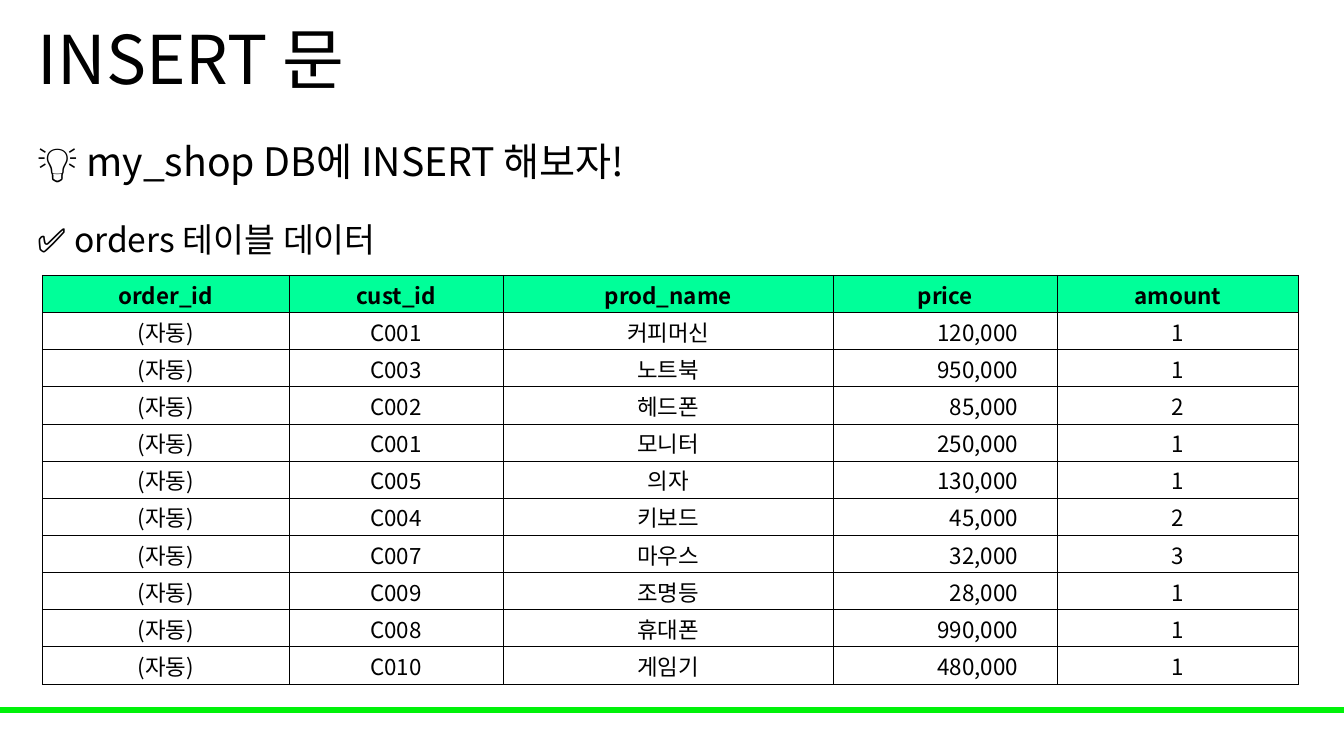
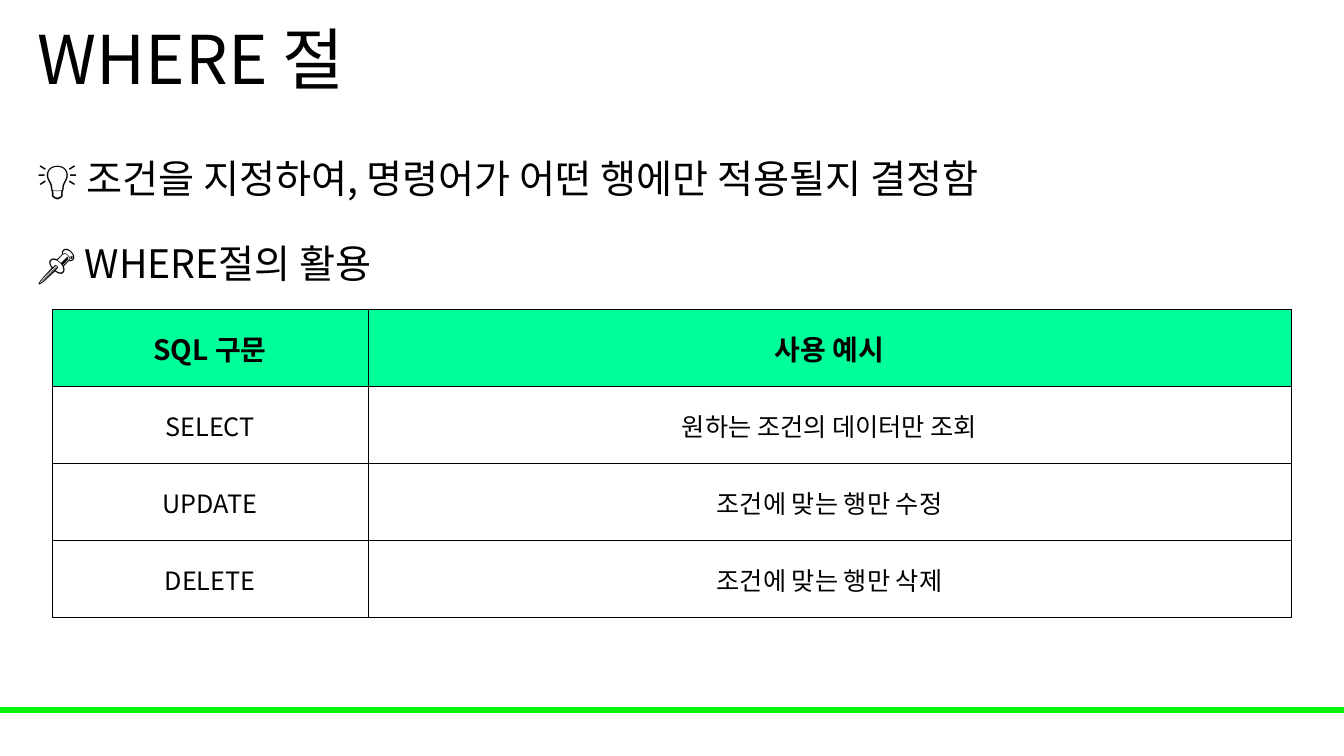
from lxml import etree
from pptx import Presentation
from pptx.dml.color import RGBColor
from pptx.enum.shapes import MSO_SHAPE
from pptx.enum.text import MSO_ANCHOR, PP_ALIGN
from pptx.oxml.ns import qn
from pptx.util import Pt

RECTANGLE = MSO_SHAPE.RECTANGLE
MIDDLE = MSO_ANCHOR.MIDDLE
CENTER, RIGHT = PP_ALIGN.CENTER, PP_ALIGN.RIGHT

BLACK = RGBColor(0x00, 0x00, 0x00)
BAND_GREEN = RGBColor(0x00, 0xF2, 0x09)
HEADER_GREEN = RGBColor(0x00, 0xFF, 0x99)

FONT = "Noto Sans CJK KR"
SLIDE_WIDTH, SLIDE_HEIGHT = 960, 540
BLANK_LAYOUT = 6
CELL_MARGIN = 0.75
PRICE_MARGIN = 28
PRICE_COLUMN = 3

ORDER_HEADER = ("order_id", "cust_id", "prod_name", "price", "amount")
ORDERS = (
    ("C001", "커피머신", 120000, 1),
    ("C003", "노트북", 950000, 1),
    ("C002", "헤드폰", 85000, 2),
    ("C001", "모니터", 250000, 1),
    ("C005", "의자", 130000, 1),
    ("C004", "키보드", 45000, 2),
    ("C007", "마우스", 32000, 3),
    ("C009", "조명등", 28000, 1),
    ("C008", "휴대폰", 990000, 1),
    ("C010", "게임기", 480000, 1),
)
WHERE_ROWS = (
    ("SQL 구문", "사용 예시"),
    ("SELECT", "원하는 조건의 데이터만 조회"),
    ("UPDATE", "조건에 맞는 행만 수정"),
    ("DELETE", "조건에 맞는 행만 삭제"),
)


def style_font(paragraph, size, bold=False):
    font = paragraph.font
    font.name, font.size, font.bold = FONT, Pt(size), bold
    font.color.rgb = BLACK


def add_text(slide, left, top, width, height):
    shape = slide.shapes.add_textbox(Pt(left), Pt(top), Pt(width), Pt(height))
    shape.text_frame.word_wrap = True
    return shape.text_frame


def add_base_slide(presentation, title):
    slide = presentation.slides.add_slide(presentation.slide_layouts[BLANK_LAYOUT])
    band = slide.shapes.add_shape(RECTANGLE, 0, Pt(505.4), Pt(SLIDE_WIDTH), Pt(3.6))
    band.shadow.inherit = False
    band.fill.solid()
    band.fill.fore_color.rgb = BAND_GREEN
    band.line.color.rgb = BAND_GREEN
    band.line.width = Pt(1)

    frame = add_text(slide, 20, 0, 828, 90)
    frame.vertical_anchor = MIDDLE
    paragraph = frame.paragraphs[0]
    paragraph.text = title
    paragraph.line_spacing = 0.9
    style_font(paragraph, 48)
    return slide


def add_headings(slide, top, height, headings):
    frame = add_text(slide, 19.5, top, 921.6, height)
    for index, (text, size) in enumerate(headings):
        paragraph = frame.add_paragraph() if index else frame.paragraphs[0]
        paragraph.text = text
        paragraph.line_spacing = 1.5
        paragraph.space_before = Pt(10 if index else 0)
        style_font(paragraph, size)


def add_borders(cell):
    properties = cell._tc.get_or_add_tcPr()
    for side in ("a:lnL", "a:lnR", "a:lnT", "a:lnB"):
        line = etree.SubElement(properties, qn(side), w=str(Pt(0.5)))
        fill = etree.SubElement(line, qn("a:solidFill"))
        etree.SubElement(fill, qn("a:srgbClr"), val=str(BLACK))


def style_cell(cell, text, size, is_header, is_price):
    cell.margin_left = cell.margin_top = cell.margin_right = Pt(CELL_MARGIN)
    cell.margin_bottom = 0
    cell.vertical_anchor = MIDDLE
    add_borders(cell)
    if is_header:
        cell.fill.solid()
        cell.fill.fore_color.rgb = HEADER_GREEN
    else:
        cell.fill.background()
    paragraph = cell.text_frame.paragraphs[0]
    paragraph.text = text
    paragraph.alignment = CENTER
    if is_price:
        paragraph.alignment = RIGHT
        cell.margin_right = Pt(PRICE_MARGIN)
    style_font(paragraph, size, is_header)


def add_grid(slide, left, top, widths, row_height, rows, header_size, body_size,
             price_column=None):
    frame = slide.shapes.add_table(len(rows), len(widths), Pt(left), Pt(top),
                                   Pt(sum(widths)), Pt(row_height * len(rows)))
    table = frame.table
    table.horz_banding = False
    for column, width in zip(table.columns, widths):
        column.width = Pt(width)
    for row_index, values in enumerate(rows):
        table.rows[row_index].height = Pt(row_height)
        is_header = row_index == 0
        size = header_size if is_header else body_size
        for column_index, text in enumerate(values):
            is_price = not is_header and column_index == price_column
            style_cell(table.cell(row_index, column_index), text, size,
                       is_header, is_price)


def add_insert_slide(presentation):
    slide = add_base_slide(presentation, "INSERT 문")
    add_headings(slide, 77.8, 110, (("💡 my_shop DB에 INSERT 해보자!", 28),
                                    ("✅ orders 테이블 데이터", 24)))
    rows = [ORDER_HEADER]
    for customer, product, price, amount in ORDERS:
        rows.append(("(자동)", customer, product, f"{price:,}", str(amount)))
    add_grid(slide, 30.2, 196.6, (176.4, 152.6, 236.2, 159.8, 172.6), 26.55,
             rows, 16, 16, PRICE_COLUMN)


def add_where_slide(presentation):
    slide = add_base_slide(presentation, "WHERE 절")
    add_headings(slide, 90, 121, (
        ("💡 조건을 지정하여, 명령어가 어떤 행에만 적용될지 결정함", 28),
        ("📌 WHERE절의 활용", 28)))
    add_grid(slide, 37.4, 220.6, (225.4, 659.5), 55.1, WHERE_ROWS, 20, 18)


def main():
    presentation = Presentation()
    presentation.slide_width = Pt(SLIDE_WIDTH)
    presentation.slide_height = Pt(SLIDE_HEIGHT)
    add_insert_slide(presentation)
    add_where_slide(presentation)
    presentation.save("out.pptx")


if __name__ == "__main__":
    main()
